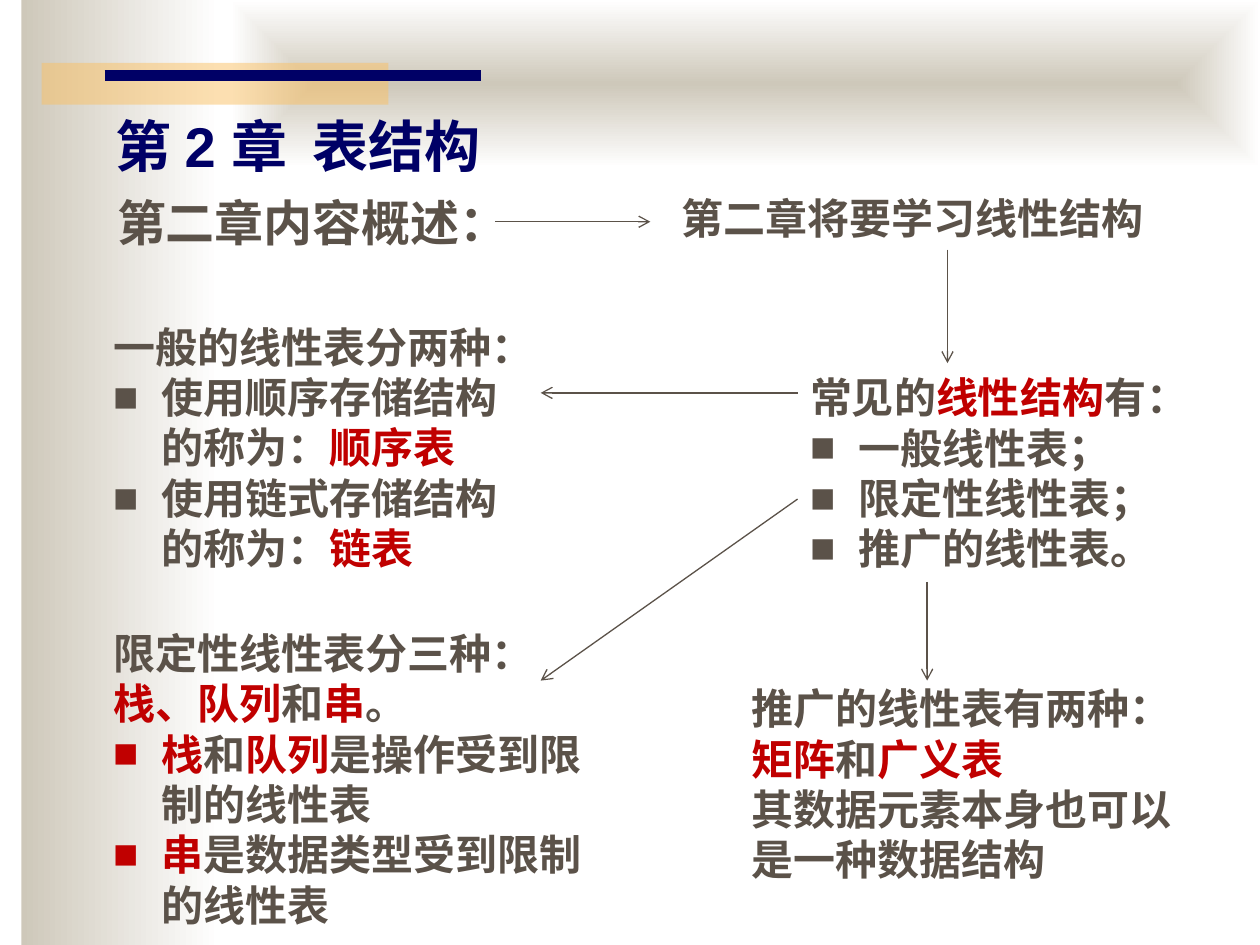
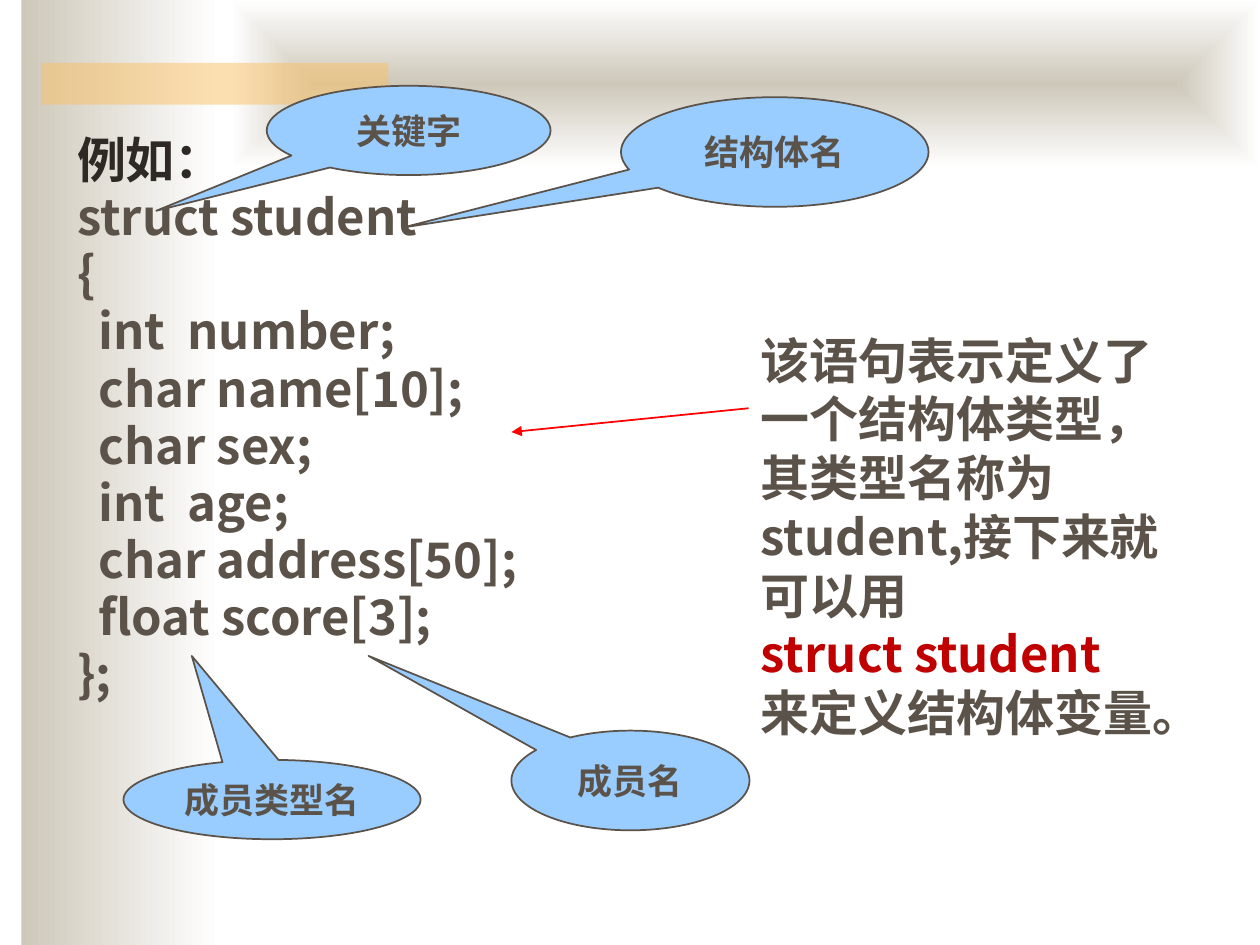
from pptx import Presentation
from pptx.dml.color import RGBColor
from pptx.enum.dml import MSO_LINE
from pptx.enum.shapes import MSO_CONNECTOR, MSO_SHAPE
from pptx.enum.text import MSO_ANCHOR, MSO_AUTO_SIZE, PP_ALIGN
from pptx.oxml.ns import qn
from pptx.util import Cm, Pt
from lxml.etree import SubElement

COLORS = {"text": "5B5249", "accent": "C00000", "title": "000066", "lead": "2E2925",
          "band": "CEC8BA", "white": "FFFFFF", "bar": "FAC164", "callout": "99CCFF",
          "pointer": "FF0000"}
SANS, TITLE_FONT, CALLOUT_FONT = "Noto Sans CJK SC", "Arial", "Times New Roman"
HANG = 0.97

TITLE = ("第 2 章  表结构", (2.08, 2.11, 15.8, 1.63))
TITLE_RULE = ((2.11, 1.52), (9.7, 1.52))

OVERVIEW = [
    ((2.11, 3.76, 7.9, 1.45), 28, ["第二章内容概述："]),
    ((13.49, 3.76, 11.2, 1.27), 24, ["第二章将要学习线性结构"]),
    ((16.08, 7.37, 8, 4.37), 24,
     ["常见的*线性结构*有：", "- 一般线性表；", "- 限定性线性表；", "- 推广的线性表。"]),
    ((2.03, 6.35, 8.61, 5.38), 24,
     ["一般的线性表分两种：", "- 使用顺序存储结构的称为：*顺序表*",
      "- 使用链式存储结构的称为：*链表*"]),
    ((2.03, 12.52, 10.59, 6.4), 24,
     ["限定性线性表分三种：", "*栈、队列*和*串*。",
      "- *栈*和*队列*是操作受到限制的线性表", "- *串*是数据类型受到限制的线性表"]),
    ((14.91, 13.64, 9.17, 4.37), 24,
     ["推广的线性表有两种：", "*矩阵*和*广义表*", "其数据元素本身也可以是一种数据结构"]),
]
OVERVIEW_ARROWS = [
    ((9.98, 4.47), (13.11, 4.47)),
    ((19.1, 5.03), (19.1, 7.32)),
    ((16.08, 7.92), (10.9, 7.92)),
    ((16.08, 10.06), (10.9, 13.72)),
    ((18.69, 11.73), (18.69, 13.72)),
]

CODE_BOX = (1.3, 2.72, 23.6, 12.57)
CODE_HEAD = ["例如：", "struct student", "{"]
CODE_MEMBERS = ["int  number;", "char name[10];", "char sex;", "int  age;",
                "char address[50];", "float score[3];"]
CODE_TAIL = ["};"]
EXPLANATION = ((15.09, 6.53, 9.19, 8.64), 28,
               ["该语句表示定义了一个结构体类型，其类型名称为student,接下来就可以用",
                "*struct student*", "来定义结构体变量。"])
EXPLANATION_ARROW = ((15.09, 8.23), (10.31, 8.71))
CALLOUTS = [
    ("关键字", (5.38, 1.73, 5.72, 1.8), (-0.89, 0.9)),
    ("成员类型名", (2.49, 15.32, 5.99, 1.6), (-0.27, -1.81)),
    ("成员名", (10.31, 14.73, 4.8, 2.01), (-1.1, -1.25)),
    ("结构体名", (12.52, 1.96, 6.2, 2.21), (-1.21, 0.69)),
]


def rgb(name):
    return RGBColor.from_string(COLORS[name])


def cms(values):
    return [Cm(v) for v in values]


def place(shape, box):
    for name, value in zip(("left", "top", "width", "height"), cms(box)):
        setattr(shape, name, value)


def add_run(p, text, size, color="text", font=SANS):
    r = p.add_run()
    r.text = text
    for name, value in {"size": Pt(size), "bold": True, "name": font}.items():
        setattr(r.font, name, value)
    r.font.color.rgb = rgb(color)
    SubElement(r.font._element, qn("a:ea")).set("typeface", SANS)


def indent(p, left, first, bullet=None):
    pPr = p._p.get_or_add_pPr()
    pPr.set("marL", str(Cm(left)))
    pPr.set("indent", str(Cm(first)))
    if bullet:
        SubElement(pPr, qn("a:buFont")).set("typeface", "Arial")
        SubElement(pPr, qn("a:buChar")).set("char", bullet)
    else:
        SubElement(pPr, qn("a:buNone"))


def add_text(s, box, size, lines):
    tf = s.shapes.add_textbox(*cms(box)).text_frame
    tf.word_wrap = True
    tf.auto_size = MSO_AUTO_SIZE.SHAPE_TO_FIT_TEXT
    for i, line in enumerate(lines):
        p = tf.add_paragraph() if i else tf.paragraphs[0]
        p.line_spacing = Pt(size * 1.2)
        if line.startswith("- "):
            indent(p, HANG, -HANG, "■")
        for j, part in enumerate(line.removeprefix("- ").split("*")):
            if part:
                add_run(p, part, size, "accent" if j % 2 else "text")


def add_line(s, ends, color="text", width=0.75, head=None):
    start, end = ends
    line = s.shapes.add_connector(MSO_CONNECTOR.STRAIGHT, *cms(start + end))
    line.line.color.rgb = rgb(color)
    line.line.width = Pt(width)
    line.line.dash_style = MSO_LINE.SOLID
    if head:
        SubElement(line.line._get_or_add_ln(), qn("a:tailEnd")).set("type", head)
    SubElement(line._element.spPr, qn("a:effectLst"))


def add_shape(s, kind, box):
    sp = s.shapes.add_shape(kind, *cms(box))
    sp.shadow.inherit = False
    return sp


def add_band(s, box, centred=False):
    sp = add_shape(s, MSO_SHAPE.RECTANGLE, box)
    sp.line.fill.background()
    sp.fill.gradient()
    sp.fill.gradient_angle = 0
    for stop, color, position in zip(sp.fill.gradient_stops, ("band", "white"), (0, 1)):
        stop.color.rgb = rgb(color)
        stop.position = position
    if centred:
        grad = sp._element.spPr.find(qn("a:gradFill"))
        grad.remove(grad.find(qn("a:lin")))
        shade = SubElement(grad, qn("a:path"))
        shade.set("path", "shape")
        centre = SubElement(shade, qn("a:fillToRect"))
        for side in "ltrb":
            centre.set(side, "50000")
    return sp


def decorate_master(prs, s):
    bar = add_shape(s, MSO_SHAPE.RECTANGLE, (0.84, 1.27, 6.99, 0.84))
    bar.line.fill.background()
    bar.fill.solid()
    bar.fill.fore_color.rgb = rgb("bar")
    color = bar._element.spPr.find(qn("a:solidFill"))[0]
    SubElement(color, qn("a:alpha")).set("val", "50000")
    bands = [add_band(s, (0.43, 0, 4.01, 19.05)),
             add_band(s, (4.65, 0, 20.75, 3.38), centred=True), bar]
    for i, sp in enumerate(bands):
        prs.slide_master.shapes.element.insert(2 + i, sp._element)


def add_callout(s, text, box, tip):
    sp = add_shape(s, MSO_SHAPE.OVAL_CALLOUT, box)
    sp.fill.solid()
    sp.fill.fore_color.rgb = rgb("callout")
    sp.line.color.rgb = rgb("text")
    sp.line.width = Pt(1)
    for i, value in enumerate(tip):
        sp.adjustments[i] = value
    tf = sp.text_frame
    tf.vertical_anchor = MSO_ANCHOR.MIDDLE
    p = tf.paragraphs[0]
    p.alignment = PP_ALIGN.CENTER
    add_run(p, text, 20, font=CALLOUT_FONT)


def build_overview(s):
    text, box = TITLE
    place(s.shapes.title, box)
    p = s.shapes.title.text_frame.paragraphs[0]
    p.alignment = PP_ALIGN.LEFT
    add_run(p, text, 32, "title", TITLE_FONT)
    add_line(s, TITLE_RULE, "title", 6)
    for block in OVERVIEW:
        add_text(s, *block)
    for ends in OVERVIEW_ARROWS:
        add_line(s, ends, head="arrow")


def build_example(s):
    title = s.shapes.title._element
    title.getparent().remove(title)
    body = s.placeholders[1]
    place(body, CODE_BOX)
    tf = body.text_frame
    tf.auto_size = MSO_AUTO_SIZE.NONE
    for i, line in enumerate(CODE_HEAD + CODE_MEMBERS + CODE_TAIL):
        p = tf.add_paragraph() if i else tf.paragraphs[0]
        p.line_spacing = Pt(27)
        p.space_before = Pt(5.6)
        indent(p, 1.7 if line in CODE_MEMBERS else 1.27, -1.27)
        add_run(p, line, 28, "text" if i else "lead")
    for callout in CALLOUTS:
        add_callout(s, *callout)
    add_text(s, *EXPLANATION)
    add_line(s, EXPLANATION_ARROW, "pointer", 1, "triangle")


prs = Presentation()
prs.slide_width, prs.slide_height = Cm(25.4), Cm(19.05)
overview = prs.slides.add_slide(prs.slide_layouts[5])
decorate_master(prs, overview)
build_overview(overview)
build_example(prs.slides.add_slide(prs.slide_layouts[1]))
prs.save("out.pptx")
